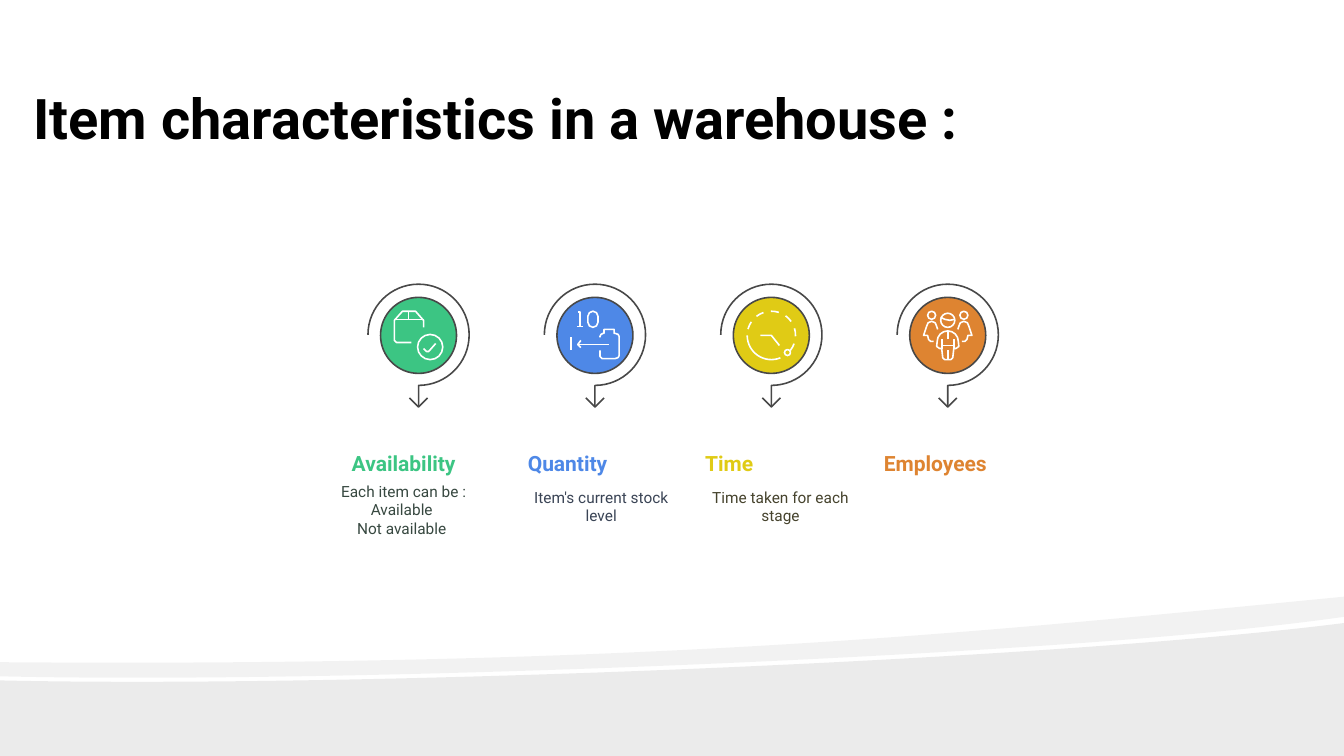
from dataclasses import dataclass
from math import ceil, cos, radians, sin, tan

from lxml import etree
from pptx import Presentation
from pptx.dml.color import RGBColor
from pptx.enum.shapes import MSO_SHAPE
from pptx.enum.text import MSO_ANCHOR, MSO_AUTO_SIZE, PP_ALIGN
from pptx.oxml.ns import qn
from pptx.util import Pt

OVAL = MSO_SHAPE.OVAL
TOP = MSO_ANCHOR.TOP
CENTER = PP_ALIGN.CENTER
NO_AUTOFIT = MSO_AUTO_SIZE.NONE


@dataclass(frozen=True)
class Theme:
    font: str = "Roboto"
    title_size: int = 40
    heading_size: int = 15
    body_size: int = 11
    black: str = "000000"
    white: str = "FFFFFF"
    outline: str = "484848"
    stroke: float = 1.12


THEME = Theme()

TITLE = "Item characteristics in a warehouse :"
TITLE_FRAME = (14, 59.8, 680, 48)

# A stroke joins points (x, y), arcs (x, y, radius, start, end) and cubic curves of three points.
BOX_ICON = [
    [(11.5, 11.5, 12.5, 0, 360)],
    [(5, 13), (8, 16), (10, 16), (17, 8)],
    [(-7, 7), (-22, 7), (-24, 5), (-24, -15), (-16, -24), (-3, -24),
     (4, -16), (5, -15), (5, -8)],
    [(-24, -16), (5, -16)],
    [(-10, -16), (-10, -24)],
]
STOCK_ICON = [
    [(-17, -23), (-15, -23), (-15, -9)],
    [(-18, -9), (-12, -9)],
    [(-2, -19, 5, 180, 360), (-2, -13, 5, 0, 180), (-7, -19)],
    [(5, 2), (5, 1), (6, -1), (8, -2), (9, -2), (9, -6), (19, -6), (19, -2),
     (20, -2), (23, -1), (24, 1), (24, 20), (23, 22), (20, 23), (7, 23),
     (5, 21), (5, 15)],
    [(-17, 9), (14, 9)],
    [(-14, 12), (-17, 9), (-14, 5)],
    [(-24, 2), (-24, 15)],
]
CLOCK_ICON = [
    [(-11, 0), (0, 0), (8, 10)],
    [(16, 17, 3, 0, 360)],
    [(0, 0, 24, 68, 180)],
    *[[(0, 0, 24, start, start + 19)] for start in range(195, 381, 37)],
]
TEAM_ICON = [
    [(-14, 6), (-17, 6), (-19, 4), (-20, 0), (-24, 0), (-16, -9, 5, 180, 360), (-10, -6)],
    [(10, -6), (16, -9, 5, 180, 360), (24, 0), (20, 0), (19, 4), (17, 6), (14, 6)],
    [(-16, -20, 4, 0, 360)],
    [(16, -20, 4, 0, 360)],
    [(0, -15, 7, 0, 360)],
    [(-7, -18), (-3, -16), (2, -15), (7, -16)],
    [(-3, 24), (-5, 22), (-6, 13), (-8, 13), (-11, 11), (0, 6, 10.5, 180, 360),
     (11, 11), (8, 13), (6, 13), (5, 22), (3, 24), (-3, 24)],
    [(-6, 13), (-6, 4)],
    [(6, 4), (6, 13)],
    [(-6, 10), (6, 10)],
    [(0, 24), (0, 14)],
    [(0, 4), (0, -4)],
]
RING_ARROW = [
    [(0, 0, 37.7, 0, 360)],
    [(0, -0.6, 50.2, 180, 450), (0, 71)],
    [(-9, 62), (0, 71), (9, 62)],
]

ITEMS = [
    ("Availability", "3CC583", (248.4, 79.9), BOX_ICON,
     [["Each item can be :"], ["Available "], ["Not available "]],
     "374840", (240.5, 344.2, 95.8, 40.3)),
    ("Quantity", "4E88E7", (373.7, 63.4), STOCK_ICON,
     [["Item's current stock", "level"]], "3A4455", (374.4, 348.5, 110.2, 31.7)),
    ("Time", "E0CB15", (501.8, 38.2), CLOCK_ICON,
     [["Time taken for each", "stage"]], "46432D", (508.3, 348.5, 98.6, 40.3)),
    ("Employees", "DE8431", (626.4, 83.5), TEAM_ICON, [], None, None),
]
HEADING_TOP, HEADING_HEIGHT = 321.8, 22.3
FIRST_X, CENTER_Y, PITCH = 299, 239.6, 126
DISC = 54.3
ICON_UNIT = 0.72

WAVES = [
    (8, [(960, 445), (960, 540), (0, 540), (0, 486),
         (253.4, 491.8, 750.2, 471.6, 960, 445)]),
    (5, [(960, 426.2), (960, 440.6),
         (903.6, 448.6, 827.3, 455.8, 740.9, 461.5),
         (502.6, 477.4, 185.8, 487.4, 0, 483.1),
         (0, 473), (469.4, 476.6, 699.1, 451.4, 960, 426.2)]),
]


def color(value):
    return RGBColor.from_string(value)


def arc_curves(x, y, radius, start, end):
    count = ceil((end - start) / 90)
    sweep = radians(end - start) / count
    pull = 4 / 3 * tan(sweep / 4)
    curves = []
    for index in range(count):
        first = radians(start) + index * sweep
        last = first + sweep
        unit = [(cos(first) - pull * sin(first), sin(first) + pull * cos(first)),
                (cos(last) + pull * sin(last), sin(last) - pull * cos(last)),
                (cos(last), sin(last))]
        curves.append([(x + radius * across, y + radius * down) for across, down in unit])
    begin = (x + radius * cos(radians(start)), y + radius * sin(radians(start)))
    return [[begin], *curves]


def segments_of(stroke):
    segments = []
    for part in stroke:
        if len(part) == 5:
            segments += arc_curves(*part)
        else:
            segments.append(list(zip(part[::2], part[1::2])))
    return segments


def add_outline(page, strokes, left=0, top=0, unit=1, close=False):
    builder, curve_starts, line_count = None, [], 0
    for stroke in strokes:
        segments = segments_of(stroke)
        points = [(Pt(left + x * unit), Pt(top + y * unit))
                  for segment in segments for x, y in segment]
        if builder is None:
            builder = page.shapes.build_freeform(*points[0])
        else:
            builder.move_to(*points[0])
        builder.add_line_segments(points[1:], close=close)
        for segment in segments[1:]:
            if len(segment) == 3:
                curve_starts.append(line_count)
            line_count += len(segment)
    shape = builder.convert_to_shape()
    shape.shadow.inherit = False
    lines = list(shape.element.iter(qn("a:lnTo")))
    for start in curve_starts:
        curve = lines[start]
        curve.tag = qn("a:cubicBezTo")
        for line in lines[start + 1:start + 3]:
            curve.append(line[0])
            line.getparent().remove(line)
    return shape


def add_wave(page, opacity, stroke):
    wave = add_outline(page, [stroke], close=True)
    wave.line.fill.background()
    wave.fill.solid()
    wave.fill.fore_color.rgb = color(THEME.black)
    tint = next(wave.element.spPr.iter(qn("a:srgbClr")))
    etree.SubElement(tint, qn("a:alpha")).set("val", str(opacity * 1000))


def add_strokes(page, strokes, center_x, value):
    drawing = add_outline(page, strokes, center_x, CENTER_Y, ICON_UNIT)
    drawing.fill.background()
    drawing.line.color.rgb = color(value)
    drawing.line.width = Pt(THEME.stroke)


def add_disc(page, center_x, value):
    disc = page.shapes.add_shape(OVAL, Pt(center_x - DISC / 2), Pt(CENTER_Y - DISC / 2),
                                 Pt(DISC), Pt(DISC))
    disc.shadow.inherit = False
    disc.fill.solid()
    disc.fill.fore_color.rgb = color(value)
    disc.line.fill.background()


def write(box, paragraphs, size, value, bold=False, wrap=False):
    frame = box.text_frame
    frame.margin_left = frame.margin_right = frame.margin_top = frame.margin_bottom = 0
    frame.word_wrap = wrap
    frame.auto_size = NO_AUTOFIT
    frame.vertical_anchor = TOP
    for index, lines in enumerate(paragraphs):
        para = frame.add_paragraph() if index else frame.paragraphs[0]
        para.alignment = CENTER
        para.font.name = THEME.font
        para.font.size = Pt(size)
        para.font.bold = bold
        para.font.color.rgb = color(value)
        for number, line in enumerate(lines):
            if number:
                para.add_line_break()
            para.add_run().text = line


def main():
    deck = Presentation()
    deck.slide_width, deck.slide_height = Pt(960), Pt(540)
    page = deck.slides.add_slide(deck.slide_layouts.get_by_name("Title Only"))
    title = page.shapes.title
    title.left, title.top, title.width, title.height = map(Pt, TITLE_FRAME)
    write(title, [[TITLE]], THEME.title_size, THEME.black, bold=True, wrap=True)
    for opacity, stroke in WAVES:
        add_wave(page, opacity, stroke)
    for index, (name, accent, (left, width), icon, body, ink, frame) in enumerate(ITEMS):
        center_x = FIRST_X + index * PITCH
        add_disc(page, center_x, accent)
        add_strokes(page, RING_ARROW, center_x, THEME.outline)
        add_strokes(page, icon, center_x, THEME.white)
        heading = page.shapes.add_textbox(Pt(left), Pt(HEADING_TOP), Pt(width), Pt(HEADING_HEIGHT))
        write(heading, [[name]], THEME.heading_size, accent, bold=True)
        if body:
            box = page.shapes.add_textbox(*map(Pt, frame))
            write(box, body, THEME.body_size, ink)
    deck.save("out.pptx")


if __name__ == "__main__":
    main()
